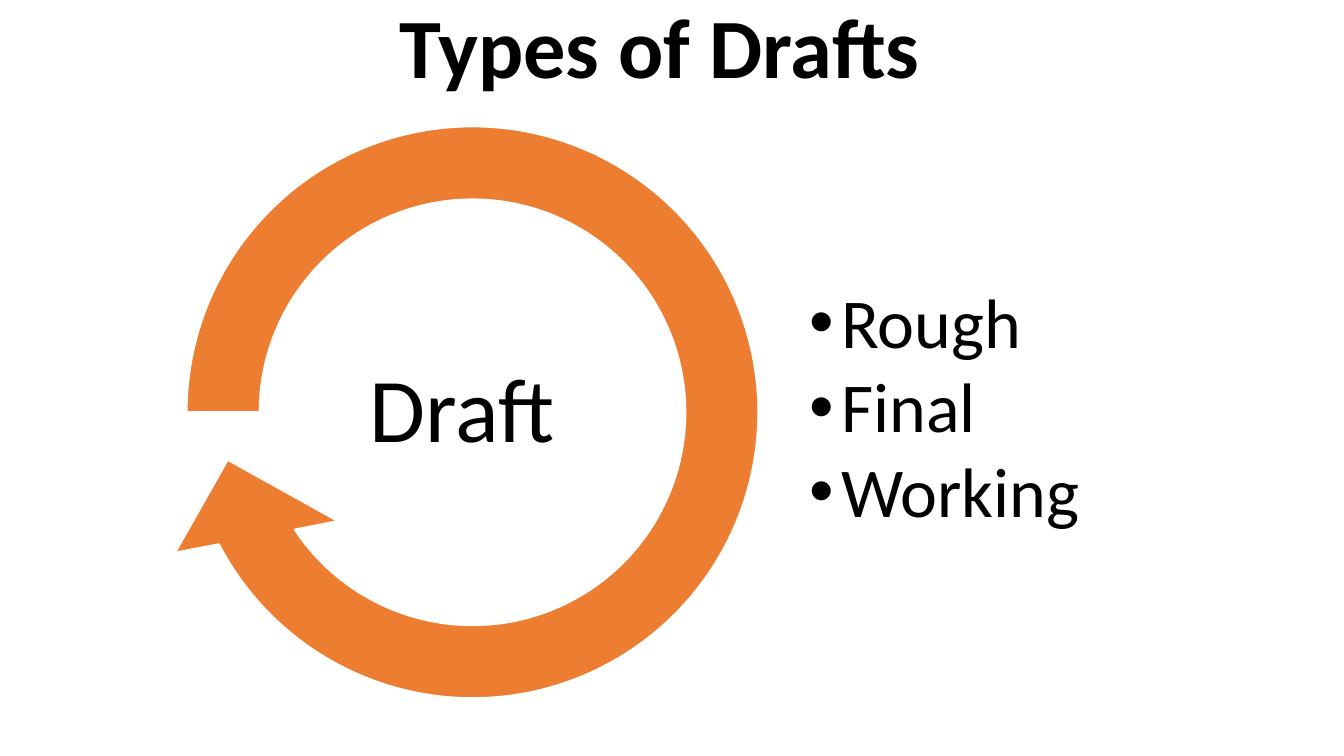
from lxml import etree
from pptx import Presentation
from pptx.dml.color import RGBColor
from pptx.enum import shapes, text
from pptx.oxml import ns
from pptx.util import Pt


def color(value):
    return RGBColor.from_string(value)


def set_text(shape, box, lines, size, align, anchor, inset, after=0, bold=False):
    shape.left, shape.top, shape.width, shape.height = [Pt(v) for v in box]
    frame = shape.text_frame
    frame.word_wrap = True
    frame.auto_size = text.MSO_AUTO_SIZE.NONE
    frame.vertical_anchor = anchor
    frame.margin_left = frame.margin_right = Pt(inset)
    frame.margin_top = frame.margin_bottom = Pt(inset)
    frame.text = "\n".join(lines)
    for paragraph in frame.paragraphs:
        paragraph.alignment = align
        paragraph.line_spacing = 0.9
        paragraph.space_before = Pt(0)
        paragraph.space_after = Pt(after)
        if len(lines) > 1:
            properties = paragraph._p.get_or_add_pPr()
            properties.set("marL", str(Pt(22.5)))
            properties.set("indent", str(Pt(-22.5)))
            etree.SubElement(properties, ns.qn("a:buChar")).set("char", "•")
        paragraph.font.name = "Calibri"
        paragraph.font.size = Pt(size)
        paragraph.font.bold = bold
        paragraph.font.color.rgb = color("000000")


prs = Presentation()
prs.slide_width, prs.slide_height = Pt(960), Pt(540)
slide = prs.slides.add_slide(prs.slide_layouts[1])
center, left = text.PP_ALIGN.CENTER, text.PP_ALIGN.LEFT
top, middle = text.MSO_ANCHOR.TOP, text.MSO_ANCHOR.MIDDLE

set_text(slide.shapes.title, (57, 4.3, 828, 104.4), ["Types of Drafts"],
         60.3, center, top, 0, bold=True)

cycle = slide.shapes.add_shape(shapes.MSO_SHAPE.CIRCULAR_ARROW,
                               Pt(100), Pt(57), Pt(475), Pt(475))
for index, value in enumerate((0.11, 11.42, 90, 108, 0.125)):
    cycle.adjustments[index] = value
cycle.shadow.inherit = False
cycle.fill.solid()
cycle.fill.fore_color.rgb = color("ED7D31")
cycle.line.color.rgb = color("FFFFFF")
cycle.line.width = Pt(1.5)

set_text(slide.placeholders[1], (575.3, 198, 285, 190), ["Rough", "Final", "Working"],
         50, left, middle, 3, after=6.5)

draft = slide.shapes.add_textbox(0, 0, 0, 0)
set_text(draft, (205.2, 229, 265, 132.5), ["Draft "], 65, center, middle, 3.6)

prs.save("out.pptx")
